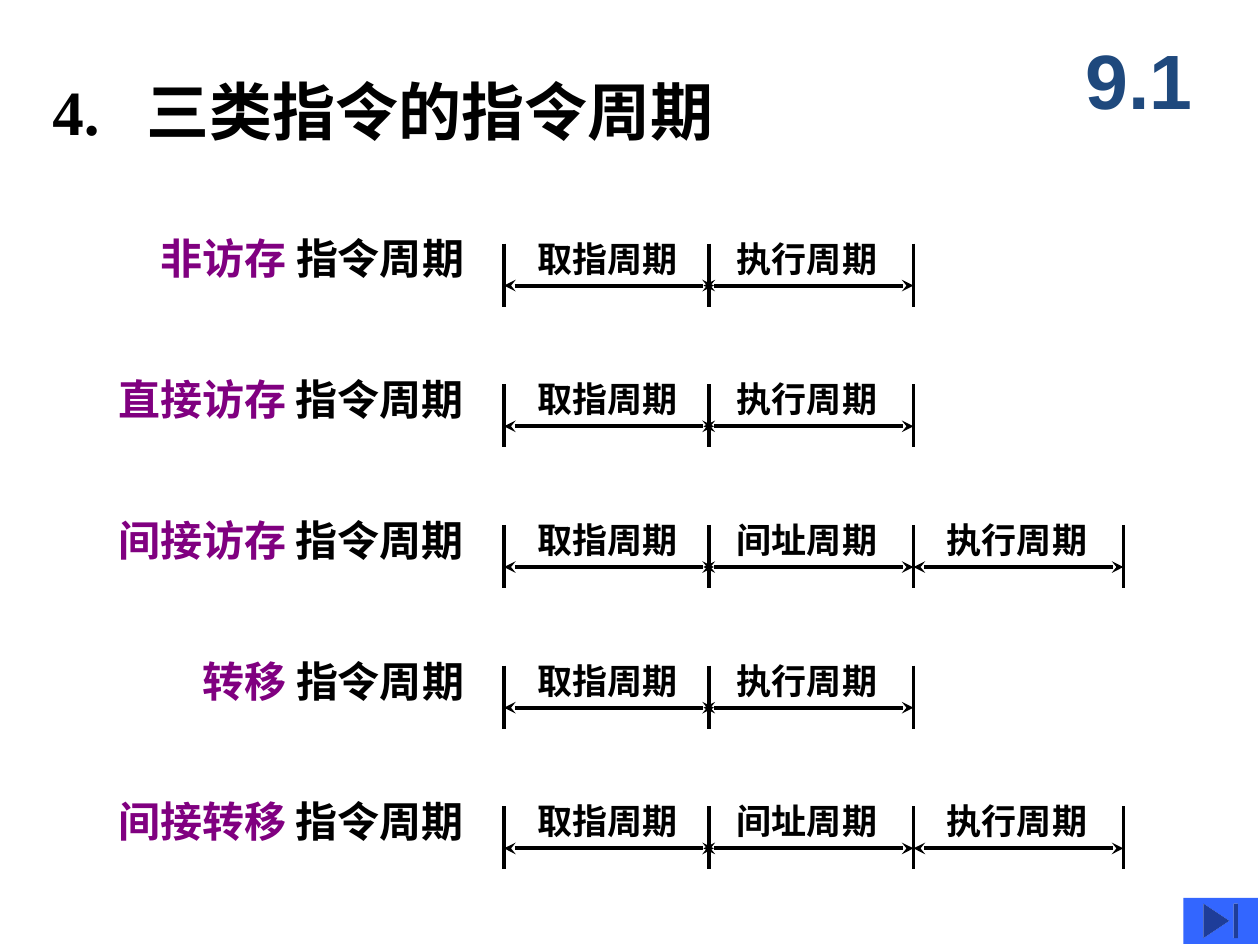
import dataclasses

import pptx
import pptx.dml.color
import pptx.enum.shapes
import pptx.enum.text
import pptx.oxml
import pptx.oxml.ns
import pptx.util
from lxml import etree


@dataclasses.dataclass(frozen=True)
class Theme:
    ink: str = "000000"
    accent: str = "800080"
    section: str = "1F497D"
    button: str = "3366FF"
    serif: str = "Times New Roman"
    sans: str = "Arial"
    title_size: int = 36
    section_size: int = 44
    row_size: int = 24
    phase_size: int = 20
    line_width: float = 2.25


class SlideBuilder:
    """Places elements on a grid of 120 columns by 90 rows."""

    COLUMNS, ROWS = 120, 90

    def __init__(self, presentation, theme):
        self.theme = theme
        self.cell_width = presentation.slide_width / self.COLUMNS
        self.cell_height = presentation.slide_height / self.ROWS
        self.slide = presentation.slides.add_slide(presentation.slide_layouts[5])

    def place(self, column, row):
        return round(column * self.cell_width), round(row * self.cell_height)

    def fill_text(self, shape, runs, size, font=None, inset=0.1, **frame_format):
        frame = shape.text_frame
        frame_format = {
            "word_wrap": False,
            "auto_size": pptx.enum.text.MSO_AUTO_SIZE.NONE,
            "vertical_anchor": pptx.enum.text.MSO_ANCHOR.TOP,
            "margin_left": pptx.util.Inches(inset),
            "margin_right": pptx.util.Inches(inset),
        } | frame_format
        for name, value in frame_format.items():
            setattr(frame, name, value)
        paragraph = frame.paragraphs[0]
        paragraph.alignment = pptx.enum.text.PP_ALIGN.LEFT
        run_format = {
            "name": font or self.theme.serif,
            "size": pptx.util.Pt(size),
            "bold": True,
        }
        for text, color in runs:
            run = paragraph.add_run()
            run.text = text
            for name, value in run_format.items():
                setattr(run.font, name, value)
            run.font.color.rgb = pptx.dml.color.RGBColor.from_string(color)
        return paragraph

    def title(self, number, text, box, gap_inches):
        shape = self.slide.shapes.title
        shape.left, shape.top = self.place(*box[:2])
        shape.width, shape.height = self.place(*box[2:])
        paragraph = self.fill_text(
            shape, [(f"{number}\t{text}", self.theme.ink)], self.theme.title_size,
            inset=0, vertical_anchor=pptx.enum.text.MSO_ANCHOR.MIDDLE)
        # Tab stop between the number and the heading
        properties = paragraph._p.get_or_add_pPr()
        tabs = etree.SubElement(properties, pptx.oxml.ns.qn("a:tabLst"))
        etree.SubElement(tabs, pptx.oxml.ns.qn("a:tab"),
                         pos=str(pptx.util.Inches(gap_inches)), algn="l")

    def text(self, box, runs, size, shapes=None, **text_format):
        shapes = self.slide.shapes if shapes is None else shapes
        shape = shapes.add_textbox(*self.place(*box[:2]), *self.place(*box[2:]))
        return self.fill_text(shape, runs, size, **text_format)

    def line(self, shapes, start, end, arrows=False):
        connector = shapes.add_connector(
            pptx.enum.shapes.MSO_CONNECTOR.STRAIGHT,
            *self.place(*start), *self.place(*end))
        connector.line.color.rgb = pptx.dml.color.RGBColor.from_string(self.theme.ink)
        connector.line.width = pptx.util.Pt(self.theme.line_width)
        if arrows:
            outline = connector.line._get_or_add_ln()
            for tag in ("a:headEnd", "a:tailEnd"):
                etree.SubElement(outline, pptx.oxml.ns.qn(tag), type="stealth")
        etree.SubElement(connector._element.spPr, pptx.oxml.ns.qn("a:effectLst"))

    def timeline(self, top, phases):
        shapes = self.slide.shapes.add_group_shape().shapes
        # Boundary ticks
        for column in (48, 67.5, 87, 107)[:len(phases) + 1]:
            self.line(shapes, (column, top), (column, top + 6))
        # One double arrow and one label for each phase
        for column, phase in zip((48, 67, 87), phases):
            self.line(shapes, (column, top + 4), (column + 20, top + 4), arrows=True)
            self.text((column + 2, top - 1.2, 15.7, 5.3), [(phase, self.theme.ink)],
                      self.theme.phase_size, shapes)

    def row_label(self, top, kind, suffix, right=45.4):
        width = 19.3 + 4 * len(kind)
        self.text((right - width, top - 1.6, width, 6),
                  [(kind + " ", self.theme.accent), (suffix, self.theme.ink)],
                  self.theme.row_size)

    def end_button(self, box):
        shape = self.slide.shapes.add_shape(
            pptx.enum.shapes.MSO_SHAPE.ACTION_BUTTON_END,
            *self.place(*box[:2]), *self.place(*box[2:]))
        shape.shadow.inherit = False
        shape.fill.solid()
        shape.fill.fore_color.rgb = pptx.dml.color.RGBColor.from_string(self.theme.button)
        shape.line.fill.background()


def main():
    theme = Theme()
    presentation = pptx.Presentation()
    presentation.slide_width = pptx.util.Inches(10)
    presentation.slide_height = pptx.util.Inches(7.5)
    builder = SlideBuilder(presentation, theme)

    # Heading and section number
    builder.title("4.", "三类指令的指令周期", (5, 7, 66, 7), 0.75)
    section = builder.text(
        (101, 2, 15, 11), [("9.1", theme.section)], theme.section_size,
        font=theme.sans, word_wrap=True,
        vertical_anchor=pptx.enum.text.MSO_ANCHOR.MIDDLE)
    section.alignment = pptx.enum.text.PP_ALIGN.CENTER

    # Instruction kinds with their cycle phases
    fetch, indirect, execute = "取指周期", "间址周期", "执行周期"
    instructions = {
        "非访存": (fetch, execute),
        "直接访存": (fetch, execute),
        "间接访存": (fetch, indirect, execute),
        "转移": (fetch, execute),
        "间接转移": (fetch, indirect, execute),
    }
    for index, (kind, phases) in enumerate(instructions.items()):
        top = 23.2 + 13.4 * index
        builder.row_label(top, kind, "指令周期")
        builder.timeline(top, phases)

    # Navigation button
    builder.end_button((112.7, 85.5, 7.1, 4.4))

    presentation.save("out.pptx")


if __name__ == "__main__":
    main()
